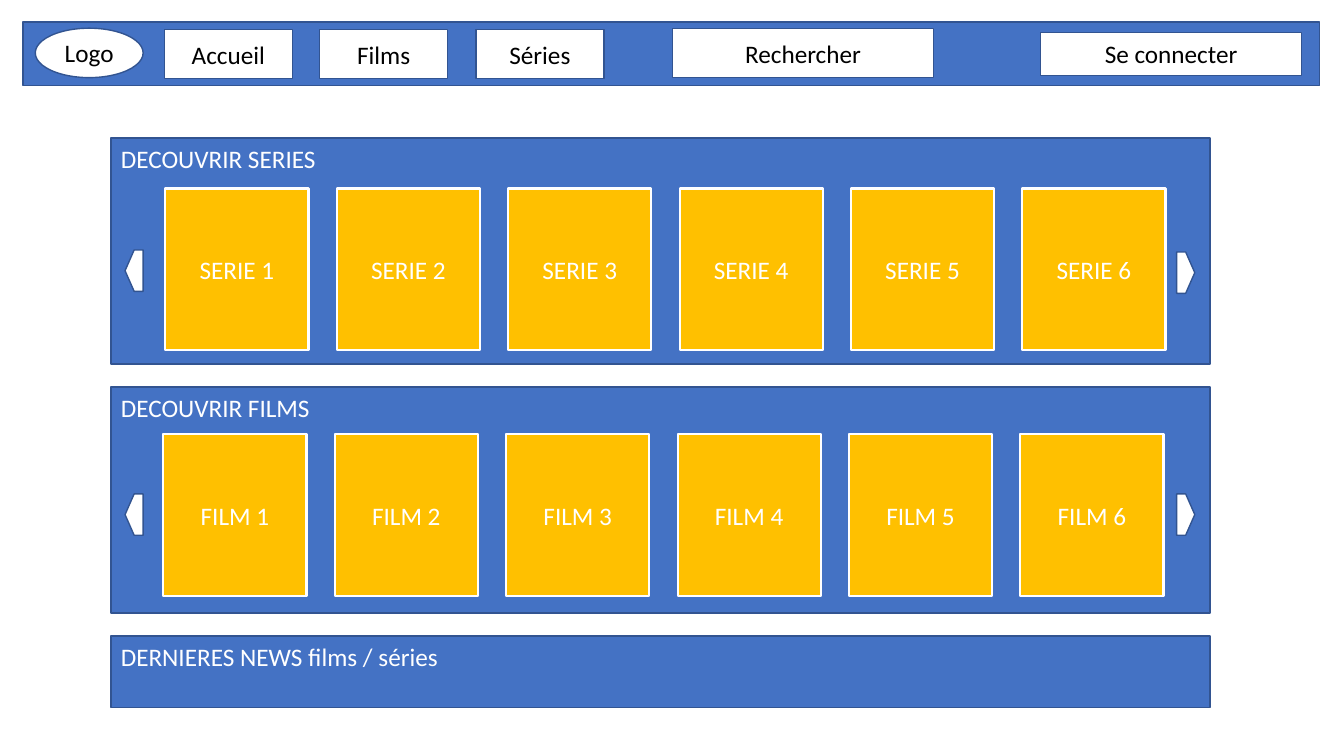
from pptx import Presentation
from pptx import util as u
from pptx.dml.color import RGBColor
from pptx.enum import shapes, text

PX = 9144  # 100 px to the inch
COLORS = {"blue": "4472C4", "outline": "325491", "white": "FFFFFF",
          "gold": "FFC000", "black": "000000"}
KIND = shapes.MSO_SHAPE


def color(name):
    return RGBColor.from_string(COLORS[name])


def add_block(parent, box, fill, label="", ink="white", kind=KIND.RECTANGLE,
              outline="outline", weight=1, heading=False):
    block = parent.add_shape(kind, *(u.Emu(n * PX) for n in box))
    block.shadow.inherit = False
    block.fill.solid()
    block.fill.fore_color.rgb = color(fill)
    block.line.color.rgb = color(outline)
    block.line.width = u.Pt(weight)
    if label:
        frame = block.text_frame
        frame.word_wrap = True
        frame.vertical_anchor = text.MSO_ANCHOR.TOP if heading else text.MSO_ANCHOR.MIDDLE
        line = frame.paragraphs[0]
        line.text = label
        line.alignment = text.PP_ALIGN.LEFT if heading else text.PP_ALIGN.CENTER
        line.font.name = "Calibri"
        line.font.size = u.Pt(18)
        line.font.color.rgb = color(ink)
    return block


prs = Presentation()
prs.slide_width, prs.slide_height = u.Emu(1333 * PX), u.Emu(750 * PX)
slide = prs.slides.add_slide(prs.slide_layouts[6])
page = slide.shapes

# Navigation bar
navbar = page.add_group_shape().shapes
add_block(navbar, (23, 22, 1286, 63), "blue")
add_block(navbar, (667, 28, 259, 49), "white", "Rechercher", "black")
for i, menu in enumerate(("Accueil", "Films", "Séries")):
    add_block(navbar, (163 + round(i * 154.5), 29, 127, 49), "white", menu, "black")
add_block(navbar, (1032, 32, 259, 43), "white", "Se connecter", "black")
add_block(navbar, (35, 28, 107, 49), "white", "Logo", "black", KIND.OVAL)

# Carousels: panel, six cards, previous and next arrows
carousels = [
    # title, card name, panel top, cards left, cards top, previous top, next top
    ("DECOUVRIR SERIES", "SERIE", 137, 164, 187, 248, 250),
    ("DECOUVRIR FILMS", "FILM", 384, 162, 431, 490, 490),
]
for title, card, panel_top, cards_left, cards_top, previous_top, next_top in carousels:
    add_block(page, (110, panel_top, 1090, 224), "blue", title, heading=True)
    for i in range(6):
        add_block(page, (cards_left + i * 170, cards_top, 142, 160), "gold",
                  f"{card} {i + 1}", outline="white", weight=1.5)
    add_block(page, (1167, next_top, 18, 41), "white", kind=KIND.PENTAGON)
    previous = add_block(page, (124, previous_top, 18, 41), "white", kind=KIND.PENTAGON)
    previous.rotation = 180

# News panel
add_block(page, (110, 631, 1090, 71), "blue", "DERNIERES NEWS films / séries", heading=True)

prs.save("out.pptx")
